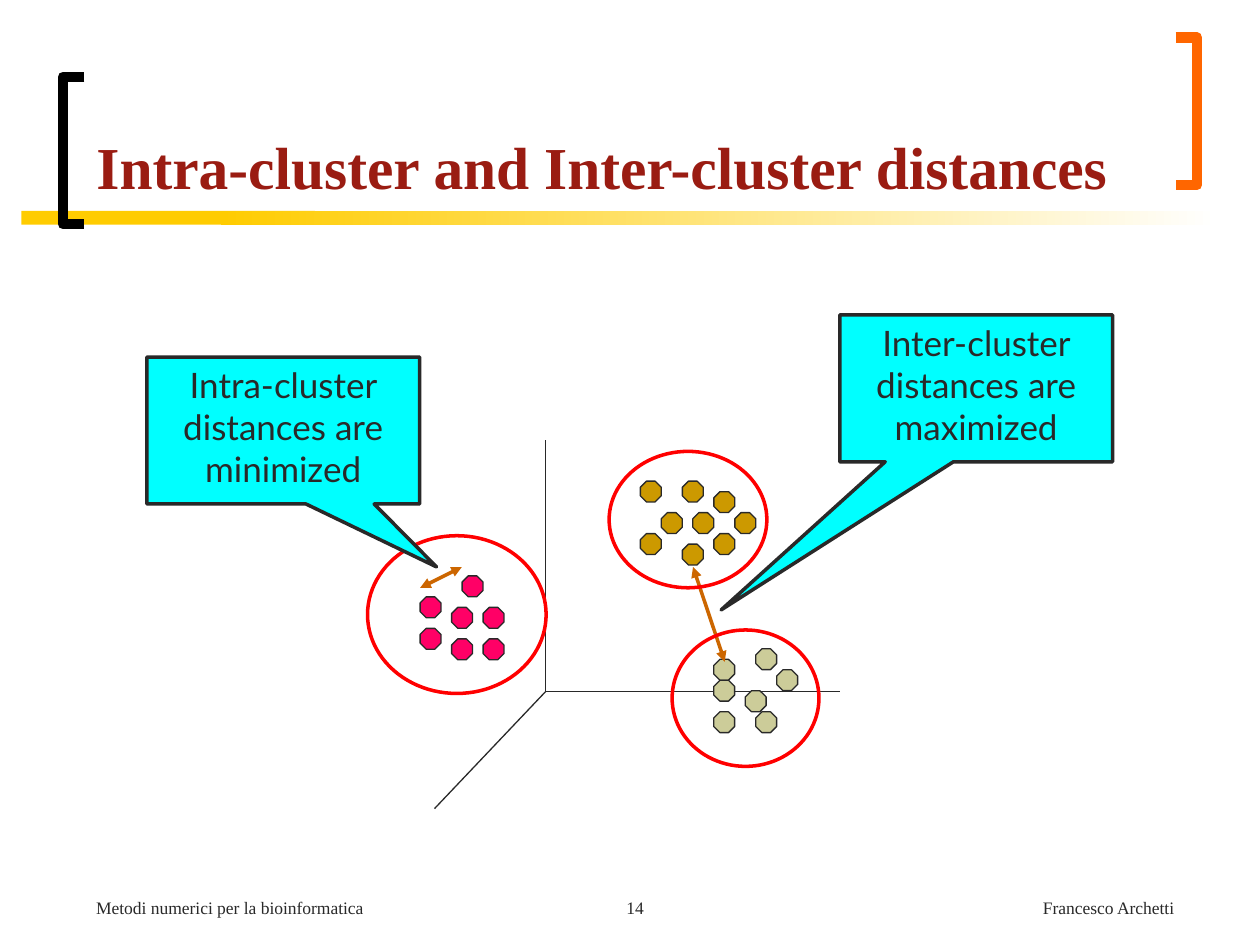
from dataclasses import dataclass

import pptx
import pptx.dml.color
import pptx.enum.shapes
import pptx.enum.text
import pptx.oxml
import pptx.oxml.ns
import pptx.util
from pptx.util import Cm

SHAPE = pptx.enum.shapes.MSO_SHAPE
ALIGN = pptx.enum.text.PP_ALIGN
ANCHOR = pptx.enum.text.MSO_ANCHOR

COLORS = {
    "title": "9A1C12", "ink": "292929", "black": "000000", "white": "FFFFFF",
    "orange": "FF6600", "yellow": "FFCC00", "gold": "CC9900", "pink": "FF0066",
    "beige": "CCCC99", "arrow": "CC6600", "callout": "00FFFF", "ring": "FF0000",
}
SERIF, SANS = "Times New Roman", "Lato"
DOT_SIZE = 0.42
DOT_STEP = 2.54 / 12


@dataclass
class Box:
    left: float
    top: float
    width: float
    height: float

    def emu(self) -> tuple:
        return Cm(self.left), Cm(self.top), Cm(self.width), Cm(self.height)


@dataclass
class Cluster:
    """Dots lie on a grid of DOT_STEP, counted from (left, top)."""
    color: str
    left: float
    top: float
    dots: list


@dataclass
class Callout:
    text: str
    box: Box
    tip: tuple


@dataclass
class Footer:
    text: str
    box: Box
    align: ALIGN


CLUSTERS = [
    Cluster("gold", 12.91, 9.7, [(2, 3), (5, 3), (4, 0), (4, 6), (9, 3),
                                 (7, 1), (0, 0), (7, 5), (0, 5)]),
    Cluster("pink", 8.47, 11.61, [(0, 2), (3, 3), (3, 6), (6, 3), (4, 0),
                                  (6, 6), (0, 5)]),
    Cluster("beige", 14.39, 13.08, [(0, 1), (6, 2), (3, 4), (0, 6), (4, 6),
                                    (0, 3), (4, 0)]),
]
RINGS = [Box(7.41, 10.8, 3.6, 3.18), Box(12.28, 9.1, 3.18, 2.75),
         Box(13.55, 12.7, 2.96, 2.75)]
AXIS_ORIGIN = (11.0, 13.94)
AXIS_ENDS = [(11.0, 8.86), (16.93, 13.94), (8.76, 16.3)]
INTER = Callout("Inter-cluster distances are maximized",
                Box(16.93, 6.35, 5.5, 2.96), (-0.935, 1.509))
INTRA = Callout("Intra-cluster distances are minimized",
                Box(2.96, 7.2, 5.5, 2.96), (0.562, 0.929))
FOOTERS = [
    Footer("14", Box(10.16, 17.36, 5.29, 1.27), ALIGN.CENTER),
    Footer("Metodi numerici per la bioinformatica", Box(1.69, 17.36, 6.99, 1.27), ALIGN.LEFT),
    Footer("Francesco Archetti", Box(15.88, 17.36, 8.04, 1.27), ALIGN.RIGHT),
]


def rgb(name: str) -> pptx.dml.color.RGBColor:
    return pptx.dml.color.RGBColor.from_string(COLORS[name])


def style(s, fill: str | None = None, line: str | None = None, width: float = 0.75) -> None:
    s.shadow.inherit = False
    if fill:
        s.fill.solid()
        s.fill.fore_color.rgb = rgb(fill)
    else:
        s.fill.background()
    if line:
        s.line.color.rgb = rgb(line)
        s.line.width = pptx.util.Pt(width)
    else:
        s.line.fill.background()


def write(tf, text: str, font: str, size: float, color: str, align: ALIGN,
          anchor: ANCHOR, bold: bool = False) -> None:
    tf.text = text
    tf.word_wrap = True
    tf.auto_size = pptx.enum.text.MSO_AUTO_SIZE.NONE
    tf.vertical_anchor = anchor
    p = tf.paragraphs[0]
    p.alignment = align
    r = p.runs[0]
    r.font.name, r.font.size, r.font.bold = font, pptx.util.Pt(size), bold
    r.font.color.rgb = rgb(color)


def draw_bracket(shapes, spine: float, tip: float, top: float, bottom: float,
                 color: str) -> None:
    builder = shapes.build_freeform(Cm(tip), Cm(top))
    builder.add_line_segments([(Cm(spine), Cm(top)), (Cm(spine), Cm(bottom)),
                               (Cm(tip), Cm(bottom))], close=False)
    style(builder.convert_to_shape(), line=color, width=6)


def draw_line(shapes, start: tuple, end: tuple, color: str, width: float,
              arrows: bool = False) -> None:
    s = shapes.add_connector(pptx.enum.shapes.MSO_CONNECTOR.STRAIGHT,
                             *(Cm(v) for v in start + end))
    s.line.color.rgb = rgb(color)
    s.line.width = pptx.util.Pt(width)
    if arrows:
        ln = s.line._get_or_add_ln()
        for tag in ("a:headEnd", "a:tailEnd"):
            pptx.oxml.ns.qn(tag)
            ln.append(pptx.oxml.parse_xml(
                f'<{tag} {pptx.oxml.ns.nsdecls("a")} type="triangle"/>'))
    s._element.spPr.append(pptx.oxml.parse_xml(
        f'<a:effectLst {pptx.oxml.ns.nsdecls("a")}/>'))


def draw_cluster(shapes, cluster: Cluster) -> None:
    for col, row in cluster.dots:
        box = Box(cluster.left + col * DOT_STEP, cluster.top + row * DOT_STEP,
                  DOT_SIZE, DOT_SIZE)
        style(shapes.add_shape(SHAPE.OCTAGON, *box.emu()), cluster.color, "ink")


def draw_callout(shapes, callout: Callout) -> None:
    s = shapes.add_shape(SHAPE.RECTANGULAR_CALLOUT, *callout.box.emu())
    s.adjustments[0], s.adjustments[1] = callout.tip
    style(s, "callout", "ink", 2)
    write(s.text_frame, callout.text, SANS, 20, "ink", ALIGN.CENTER, ANCHOR.TOP)


def draw_frame(shapes) -> None:
    """Brackets and the fading yellow rule around the title."""
    draw_bracket(shapes, 24.13, 23.7, 0.76, 3.73, "orange")
    style(shapes.add_shape(SHAPE.RECTANGLE, *Box(0.43, 4.25, 5.92, 0.28).emu()), "yellow")
    fade = shapes.add_shape(SHAPE.RECTANGLE, *Box(4.45, 4.25, 20.11, 0.28).emu())
    style(fade)
    fade.fill.gradient()
    fade.fill.gradient_angle = 0
    for stop, color, position in zip(fade.fill.gradient_stops, ("yellow", "white"), (0, 1)):
        stop.color.rgb = rgb(color)
        stop.position = position
    draw_bracket(shapes, 1.27, 1.7, 1.55, 4.52, "black")


def main() -> None:
    prs = pptx.Presentation()
    prs.slide_width, prs.slide_height = Cm(25.4), Cm(19.05)
    slide = prs.slides.add_slide(prs.slide_layouts[5])
    shapes = slide.shapes

    draw_frame(shapes)
    title = shapes.title
    title.left, title.top, title.width, title.height = Box(1.69, 1.27, 21.17, 2.92).emu()
    write(title.text_frame, "Intra-cluster and Inter-cluster distances", SERIF, 34,
          "title", ALIGN.LEFT, ANCHOR.BOTTOM, bold=True)

    for end in AXIS_ENDS:
        draw_line(shapes, AXIS_ORIGIN, end, "ink", 0.75)
    for cluster in CLUSTERS:
        draw_cluster(shapes, cluster)
    draw_line(shapes, (14.61, 13.34), (13.97, 11.43), "arrow", 2, arrows=True)
    draw_callout(shapes, INTER)
    for ring in RINGS:
        style(shapes.add_shape(SHAPE.OVAL, *ring.emu()), line="ring", width=2)
    draw_line(shapes, (8.47, 11.85), (9.31, 11.43), "arrow", 2, arrows=True)
    draw_callout(shapes, INTRA)

    for footer in FOOTERS:
        s = shapes.add_textbox(*footer.box.emu())
        write(s.text_frame, footer.text, SERIF, 10, "ink", footer.align, ANCHOR.BOTTOM)

    prs.save("out.pptx")


if __name__ == "__main__":
    main()
